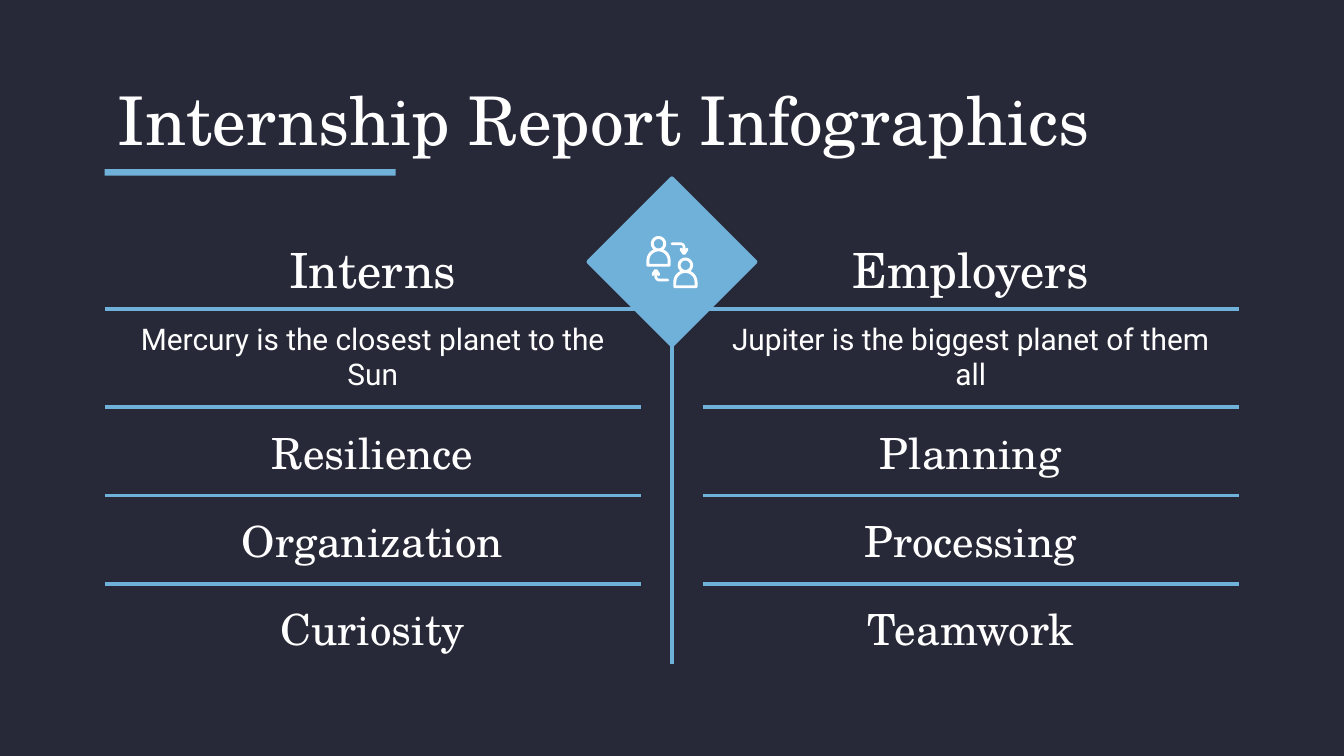
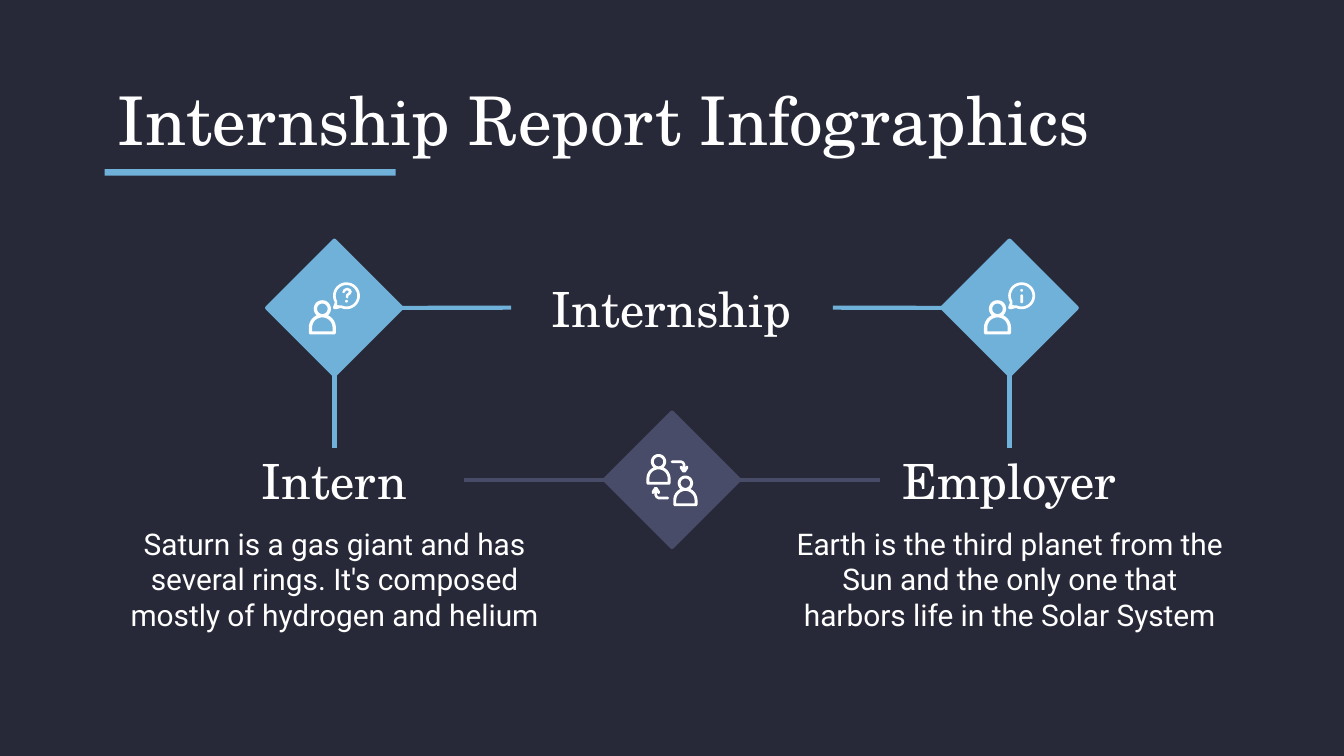
"""Build two internship report infographic slides."""
from math import cos, radians, sin
from typing import NamedTuple, Optional

from lxml import etree
from pptx import Presentation
from pptx import util as u
from pptx.dml.color import RGBColor
from pptx.enum import shapes, text
from pptx.oxml import ns

NAVY = RGBColor(0x28, 0x29, 0x38)
BLUE = RGBColor(0x70, 0xB1, 0xDA)
SLATE = RGBColor(0x48, 0x4C, 0x68)
WHITE = RGBColor(0xFF, 0xFF, 0xFF)
SERIF, SANS = "TeX Gyre Schola", "Roboto"
STROKE = u.Pt(2.25)
INSET = u.Cm(0.25)
ICON_UNIT = u.Cm(2.54) / 100
MARGIN, MIDDLE = 1.98, 12.7
TOP, LEFT, BOTTOM, RIGHT = range(4)


class Style(NamedTuple):
    """Font, size and alignment of a paragraph."""
    font: str
    size: int
    align: text.PP_ALIGN = text.PP_ALIGN.CENTER


class Glyph(NamedTuple):
    """Closed outlines placed relative to an icon's centre."""
    outlines: list
    x: float
    y: float
    scale: float = 1


class Diamond(NamedTuple):
    """A diamond badge given by its centre, in centimetres."""
    x: float
    y: float
    size: float
    color: RGBColor
    icon: tuple


class Comparison(NamedTuple):
    """A column of compared traits."""
    left: float
    rows: tuple


class Role(NamedTuple):
    """A participant with a heading and a description."""
    x: float
    name: str
    description: str
    icon: tuple
    side: int


class Joint(NamedTuple):
    """A connection site on a shape."""
    shape: object
    site: int


TITLE = Style(SERIF, 36, text.PP_ALIGN.LEFT)
HEADING = Style(SERIF, 26)
TRAIT = Style(SERIF, 23)
BODY = Style(SANS, 16)


def arc(x: float, y: float, radius: float, start: int, stop: int) -> list:
    """Return points along an arc, with angles running clockwise."""
    steps = max(4, (stop - start) // 10)
    angles = [radians(start + (stop - start) * i / steps) for i in range(steps + 1)]
    return [(x + radius * cos(a), y + radius * sin(a)) for a in angles]


PERSON = [
    arc(9, 6, 5.7, 130, 410) + arc(9, 18.5, 9, 295, 360)
    + [(18, 22), (17.3, 23), (0.7, 23), (0, 22)] + arc(9, 18.5, 9, 180, 245),
    arc(9, 6, 3.5, 0, 360),
    arc(9, 18.5, 6.8, 180, 360) + [(15.8, 21), (2.2, 21)],
]
ARROW = [[
    (1, 0), (0, 1), (1, 2), (8, 2), (9, 3), (9, 5), (8, 4), (7, 4.5), (7, 6), (9, 9),
    (11, 9), (13, 6), (13, 4.5), (12, 4), (11, 5), (11, 3), (10, 1), (8, 0),
]]
ARROW_BACK = [[(13 - x, 9 - y) for x, y in ARROW[0]]]
BUBBLE = [
    arc(10, 10, 10, 150, 475) + [(2, 20), (0.5, 20), (0, 18.5)],
    arc(10, 10, 8, 150, 475) + [(3, 17)],
]
QUESTION_MARK = [[
    (0, 3), (1, 1), (3.5, 0), (6, 1), (7, 3), (6, 5), (4.5, 6), (4.3, 7.5), (3.5, 8),
    (2.5, 7), (2.8, 5), (4, 4), (4.7, 3.2), (4.4, 2.3), (3.4, 2), (2.4, 2.3), (2, 3.3),
    (1, 4), (0.3, 3.8),
]]
DOT = [arc(1, 1, 1, 0, 360)]
STEM = [arc(1, 1, 1, 180, 360) + arc(1, 5.5, 1, 0, 180)]

EXCHANGE = (
    Glyph(ARROW, -1, -14.5), Glyph(ARROW_BACK, -15, 5.5),
    Glyph(PERSON, -19, -19.5), Glyph(PERSON, 1, -3.5),
)
SPEAKER = (Glyph(PERSON, -19, -6, 1.12), Glyph(BUBBLE, -1, -19))
QUESTION = SPEAKER + (Glyph(QUESTION_MARK, 6, -15), Glyph(DOT, 8, -6))
INFORMATION = SPEAKER + (Glyph(DOT, 8, -14), Glyph(STEM, 8, -10))

COMPARISONS = (
    Comparison(MARGIN, ("Interns", "Mercury is the closest planet to the Sun",
                        "Resilience", "Organization", "Curiosity")),
    Comparison(13.28, ("Employers", "Jupiter is the biggest planet of them all",
                       "Planning", "Processing", "Teamwork")),
)
ROLES = (
    Role(6.32, "Intern", "Saturn is a gas giant and has several rings. "
         "It's composed mostly of hydrogen and helium", QUESTION, RIGHT),
    Role(19.08, "Employer", "Earth is the third planet from the Sun and the only one "
         "that harbors life in the Solar System", INFORMATION, LEFT),
)


def write(frame, content: str, style: Style) -> None:
    """Fill a text frame with one styled paragraph."""
    para = frame.paragraphs[0]
    para.add_run().text = content
    para.alignment = style.align
    para.font.name, para.font.size = style.font, u.Pt(style.size)
    para.font.color.rgb = WHITE


def add_text(page, left: float, top: float, width: float, height: float,
             content: str, style: Style, anchor=text.MSO_ANCHOR.MIDDLE):
    """Add a wrapped text box, measured in centimetres."""
    box = page.shapes.add_textbox(u.Cm(left), u.Cm(top), u.Cm(width), u.Cm(height))
    frame = box.text_frame
    frame.word_wrap, frame.vertical_anchor = True, anchor
    frame.margin_left = frame.margin_right = INSET
    frame.margin_top = frame.margin_bottom = INSET
    write(frame, content, style)
    return box


def paint(shape, color: RGBColor, outlined: bool = False) -> None:
    """Give a shape a flat fill and an optional outline of that colour."""
    shape.shadow.inherit = False
    shape.fill.solid()
    shape.fill.fore_color.rgb = color
    if outlined:
        shape.line.color.rgb, shape.line.width = color, STROKE
    else:
        shape.line.fill.background()


def add_icon(page, icon: tuple, x: float, y: float) -> None:
    """Draw an icon as a group of freeforms around a centre."""
    group = page.shapes.add_group_shape()
    for glyph in icon:
        outlines = [[(u.Cm(x) + ICON_UNIT * (glyph.x + glyph.scale * px),
                      u.Cm(y) + ICON_UNIT * (glyph.y + glyph.scale * py))
                     for px, py in outline] for outline in glyph.outlines]
        builder = group.shapes.build_freeform(*outlines[0][0])
        builder.add_line_segments(outlines[0][1:])
        for outline in outlines[1:]:
            builder.move_to(*outline[0])
            builder.add_line_segments(outline[1:])
        paint(builder.convert_to_shape(), WHITE)


def add_diamond(page, diamond: Diamond):
    """Draw a diamond without its icon."""
    half = diamond.size / 2
    shape = page.shapes.add_shape(
        shapes.MSO_SHAPE.DIAMOND, u.Cm(diamond.x - half), u.Cm(diamond.y - half),
        u.Cm(diamond.size), u.Cm(diamond.size))
    paint(shape, diamond.color, outlined=True)
    return shape


def add_line(page, color: RGBColor, begin: Optional[Joint] = None,
             end: Optional[Joint] = None, x: float = 0, y: float = 0) -> None:
    """Draw a line between joints; a missing one is replaced by the point x, y."""
    point = u.Cm(x), u.Cm(y)
    line = page.shapes.add_connector(shapes.MSO_CONNECTOR.STRAIGHT, *point, *point)
    if begin:
        line.begin_connect(*begin)
    if end:
        line.end_connect(*end)
    line.line.color.rgb, line.line.width = color, STROKE
    etree.SubElement(line._element.spPr, ns.qn("a:effectLst"))


def set_borders(cell, top: bool, bottom: bool) -> None:
    """Rule a cell above or below and clear its other borders."""
    sides = {"lnL": False, "lnR": False, "lnT": top, "lnB": bottom}
    properties = cell._tc.get_or_add_tcPr()
    for index, (side, ruled) in enumerate(sides.items()):
        border = etree.Element(ns.qn(f"a:{side}"), w=str(int(STROKE)))
        fill = etree.SubElement(border, ns.qn("a:solidFill" if ruled else "a:noFill"))
        if ruled:
            etree.SubElement(fill, ns.qn("a:srgbClr"), val=str(BLUE))
        properties.insert(index, border)


def add_comparison(page, comparison: Comparison) -> None:
    """Draw one column of traits as a ruled table."""
    count = len(comparison.rows)
    table = page.shapes.add_table(count, 1, u.Cm(comparison.left), u.Cm(4.17),
                                  u.Cm(10.13), u.Cm(1.67 * count)).table
    table.first_row = table.horz_banding = False
    styles = [HEADING, BODY] + [TRAIT] * (count - 2)
    for index, (content, style) in enumerate(zip(comparison.rows, styles)):
        cell = table.cell(index, 0)
        cell.fill.background()
        cell.vertical_anchor = text.MSO_ANCHOR.MIDDLE
        cell.margin_left = cell.margin_right = INSET
        cell.margin_top = cell.margin_bottom = INSET
        write(cell.text_frame, content, style)
        set_borders(cell, top=index > 0, bottom=index < count - 1)


def add_page(deck):
    """Add a blank slide with the shared title and accent bar."""
    page = deck.slides.add_slide(deck.slide_layouts[6])
    bar = page.shapes.add_shape(shapes.MSO_SHAPE.RECTANGLE, u.Cm(MARGIN), u.Cm(3.2),
                                u.Cm(5.5), u.Cm(0.12))
    paint(bar, BLUE)
    add_text(page, MARGIN, 1.5, 21.44, 1.5, "Internship Report Infographics", TITLE)
    return page


def build_comparison(deck) -> None:
    """Compare the traits of interns and employers."""
    page = add_page(deck)
    for comparison in COMPARISONS:
        add_comparison(page, comparison)
    badge = Diamond(MIDDLE, 4.95, 3.15, BLUE, EXCHANGE)
    shape = add_diamond(page, badge)
    add_line(page, BLUE, begin=Joint(shape, BOTTOM), x=MIDDLE, y=12.55)
    add_icon(page, badge.icon, badge.x, badge.y)


def build_relationship(deck) -> None:
    """Show how intern and employer relate through the internship."""
    page = add_page(deck)
    topic = add_text(page, MIDDLE - 3.04, 5.23, 6.08, 1.17, "Internship", HEADING)
    exchange = Diamond(MIDDLE, 9.07, 2.54, SLATE, EXCHANGE)
    hub = add_diamond(page, exchange)
    add_icon(page, exchange.icon, exchange.x, exchange.y)
    for role in ROLES:
        inner, outer = role.side, LEFT + RIGHT - role.side
        heading = add_text(page, role.x - 2.44, 8.46, 4.88, 1.22, role.name, HEADING)
        add_text(page, role.x - 4.34, 9.68, 8.69, 2.87, role.description, BODY,
                 text.MSO_ANCHOR.TOP)
        badge = Diamond(role.x, 5.82, 2.54, BLUE, role.icon)
        shape = add_diamond(page, badge)
        add_line(page, BLUE, Joint(topic, outer), Joint(shape, inner))
        add_line(page, BLUE, end=Joint(heading, TOP), x=role.x, y=5.16)
        add_line(page, SLATE, Joint(heading, inner), Joint(hub, outer))
        add_icon(page, badge.icon, badge.x, badge.y)


def main() -> None:
    """Build and save the deck."""
    deck = Presentation()
    deck.slide_width, deck.slide_height = u.Cm(25.4), u.Cm(14.29)
    background = deck.slide_master.background.fill
    background.solid()
    background.fore_color.rgb = NAVY
    build_comparison(deck)
    build_relationship(deck)
    deck.save("out.pptx")


if __name__ == "__main__":
    main()
